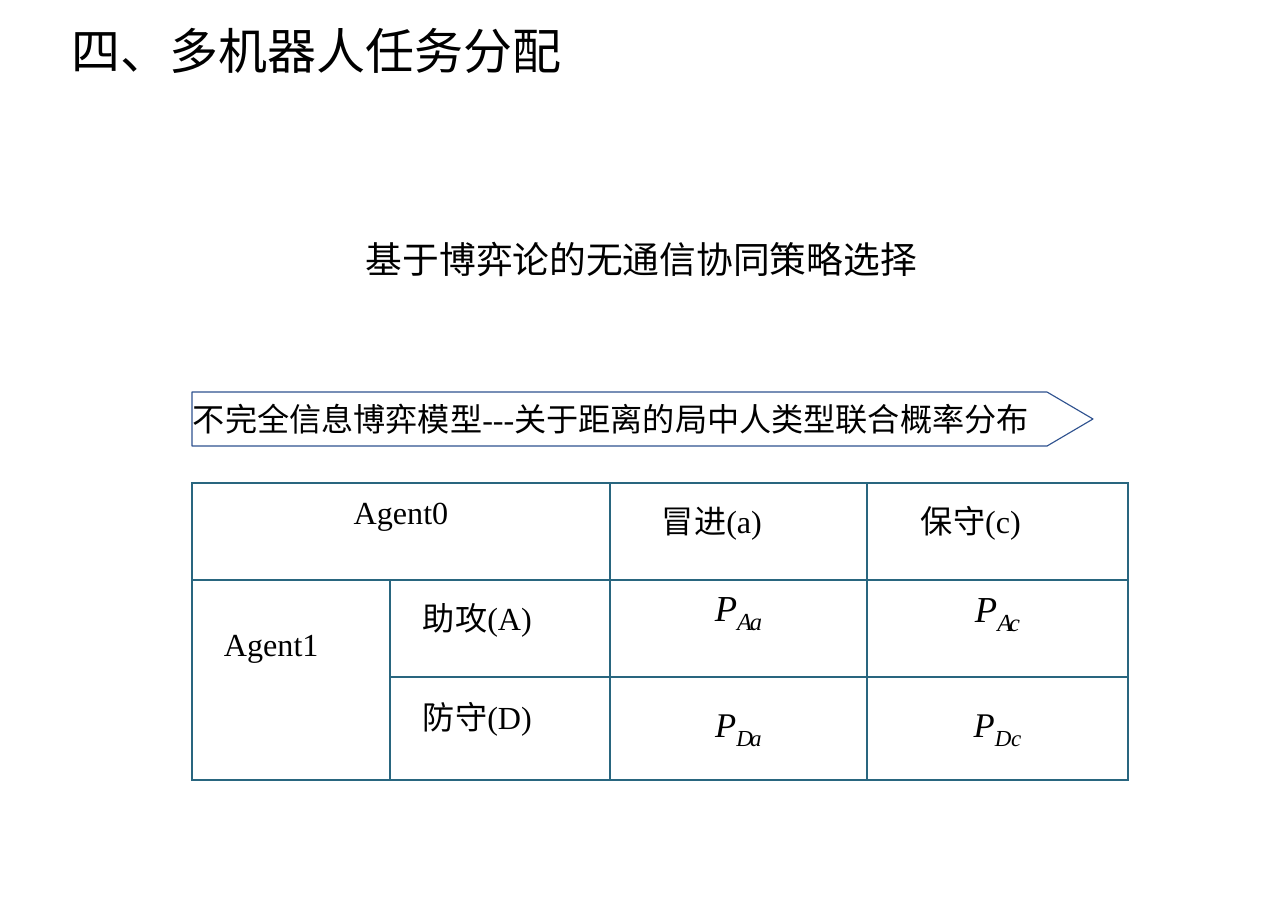
from dataclasses import dataclass

from lxml import etree
from pptx import Presentation
from pptx.dml.color import RGBColor
from pptx.enum.shapes import MSO_SHAPE
from pptx.enum.text import MSO_ANCHOR, MSO_AUTO_SIZE, PP_ALIGN
from pptx.oxml.ns import qn
from pptx.util import Pt

PENTAGON = MSO_SHAPE.PENTAGON
MIDDLE = MSO_ANCHOR.MIDDLE
GROW = MSO_AUTO_SIZE.SHAPE_TO_FIT_TEXT
LEFT, CENTER = PP_ALIGN.LEFT, PP_ALIGN.CENTER
EMU_PER_PX = 8298


@dataclass(frozen=True)
class Theme:
    text: RGBColor = RGBColor(0, 0, 0)
    arrow: RGBColor = RGBColor(0x2F, 0x52, 0x8F)
    border: str = "29667F"
    heading_font: str = "Calibri"
    latin_font: str = "Times New Roman"
    cjk_font: str = "Noto Sans CJK JP"
    title: float = 32
    subtitle: float = 24
    body: float = 21


THEME = Theme()


def px(n):
    return n * EMU_PER_PX


def set_paragraph(p, size, align=LEFT):
    p.alignment = align
    p.font.size = Pt(size)
    p.font.color.rgb = THEME.text


def write_mixed(p, pieces, align=LEFT):
    set_paragraph(p, THEME.body, align)
    for text in pieces:
        r = p.add_run()
        r.text = text
        r.font.name = THEME.latin_font if text.isascii() else THEME.cjk_font
        ea = etree.SubElement(r._r.get_or_add_rPr(), qn("a:ea"))
        ea.set("typeface", r.font.name)


def write_formula(p, parts, size, sub_size, raise_pct):
    set_paragraph(p, size, CENTER)
    p.font.name = THEME.latin_font
    p.font.italic = True
    for (text, spacing), run_size, rise in zip(parts, (size, sub_size), (raise_pct, 0)):
        r = p.add_run()
        r.text = text
        r.font.size = Pt(run_size)
        rPr = r._r.get_or_add_rPr()
        rPr.set("spc", str(round(spacing * 100)))
        rPr.set("baseline", str(rise * 1000))


def add_heading(s, text, x, y, w, h, size):
    tf = s.shapes.add_textbox(px(x), px(y), px(w), px(h)).text_frame
    tf.word_wrap = False
    tf.auto_size = GROW
    p = tf.paragraphs[0]
    p.text = text
    set_paragraph(p, size)
    p.font.name = THEME.heading_font


def add_banner(s, pieces, x, y, w, h):
    sp = s.shapes.add_shape(PENTAGON, px(x), px(y), px(w), px(h))
    sp.adjustments[0] = 0.85
    sp.shadow.inherit = False
    sp.fill.background()
    sp.line.color.rgb = THEME.arrow
    sp.line.width = Pt(0.75)
    tf = sp.text_frame
    tf.margin_left = px(1)
    tf.margin_top = tf.margin_right = tf.margin_bottom = 0
    tf.word_wrap = False
    tf.vertical_anchor = MIDDLE
    write_mixed(tf.paragraphs[0], pieces)


def style_cell(cell):
    tcPr = cell._tc.get_or_add_tcPr()
    for side in ("a:lnL", "a:lnR", "a:lnT", "a:lnB"):
        ln = etree.SubElement(tcPr, qn(side), w=str(Pt(1)))
        fill = etree.SubElement(ln, qn("a:solidFill"))
        etree.SubElement(fill, qn("a:srgbClr"), val=THEME.border)
    cell.fill.background()
    cell.margin_left = cell.margin_right = cell.margin_top = cell.margin_bottom = 0


def add_grid(s, x, y, widths, heights):
    frame = s.shapes.add_table(
        len(heights), len(widths), px(x), px(y), px(sum(widths)), px(sum(heights))
    )
    table = frame.table
    table.first_row = table.horz_banding = False
    for col, w in zip(table.columns, widths):
        col.width = px(w)
    for row, h in zip(table.rows, heights):
        row.height = px(h)
    for cell in table.iter_cells():
        style_cell(cell)
    return table


def fill_payoffs(table):
    table.cell(0, 0).merge(table.cell(0, 1))
    table.cell(1, 0).merge(table.cell(2, 0))

    labels = (
        (0, 0, ("Agent0",), 0, 13, CENTER),
        (0, 2, ("冒进", "(a)"), 52, 13, LEFT),
        (0, 3, ("保守", "(c)"), 54, 13, LEFT),
        (1, 0, ("Agent1",), 32, 48, LEFT),
        (1, 1, ("助攻", "(A)"), 33, 13, LEFT),
        (2, 1, ("防守", "(D)"), 33, 15, LEFT),
    )
    for row, col, pieces, left, top, align in labels:
        cell = table.cell(row, col)
        cell.margin_left, cell.margin_top = px(left), px(top)
        write_mixed(cell.text_frame.paragraphs[0], pieces, align)

    formulas = (
        (1, 2, (("P", -2.2), ("Aa", -1.4)), 41.2, 16, 14, 31.6),
        (1, 3, (("P", -3), ("Ac", -2)), 41.2, 16, 14, 32.2),
        (2, 2, (("P", -2.7), ("Da", -1.8)), 39, 15, 15, None),
        (2, 3, (("P", -0.2), ("Dc", -0.1)), 39, 15, 15, None),
    )
    for row, col, parts, size, sub_size, raise_pct, leading in formulas:
        cell = table.cell(row, col)
        cell.margin_top = px(16)
        p = cell.text_frame.paragraphs[0]
        if leading:
            p.line_spacing = Pt(leading)
        write_formula(p, parts, size, sub_size, raise_pct)


def main():
    prs = Presentation()
    prs.slide_width, prs.slide_height = px(1288), px(911)
    s = prs.slides.add_slide(prs.slide_layouts[6])

    banner = ("不完全信息博弈模型", "---", "关于距离的局中人类型联合概率分布")
    add_banner(s, banner, 192, 392, 901, 54)
    fill_payoffs(add_grid(s, 192, 483, (198, 220, 257, 261), (97, 97, 103)))
    add_heading(s, "基于博弈论的无通信协同策略选择", 355, 231, 579, 55, THEME.subtitle)
    add_heading(s, "四、多机器人任务分配", 61, 15, 517, 71, THEME.title)

    prs.save("out.pptx")


if __name__ == "__main__":
    main()
